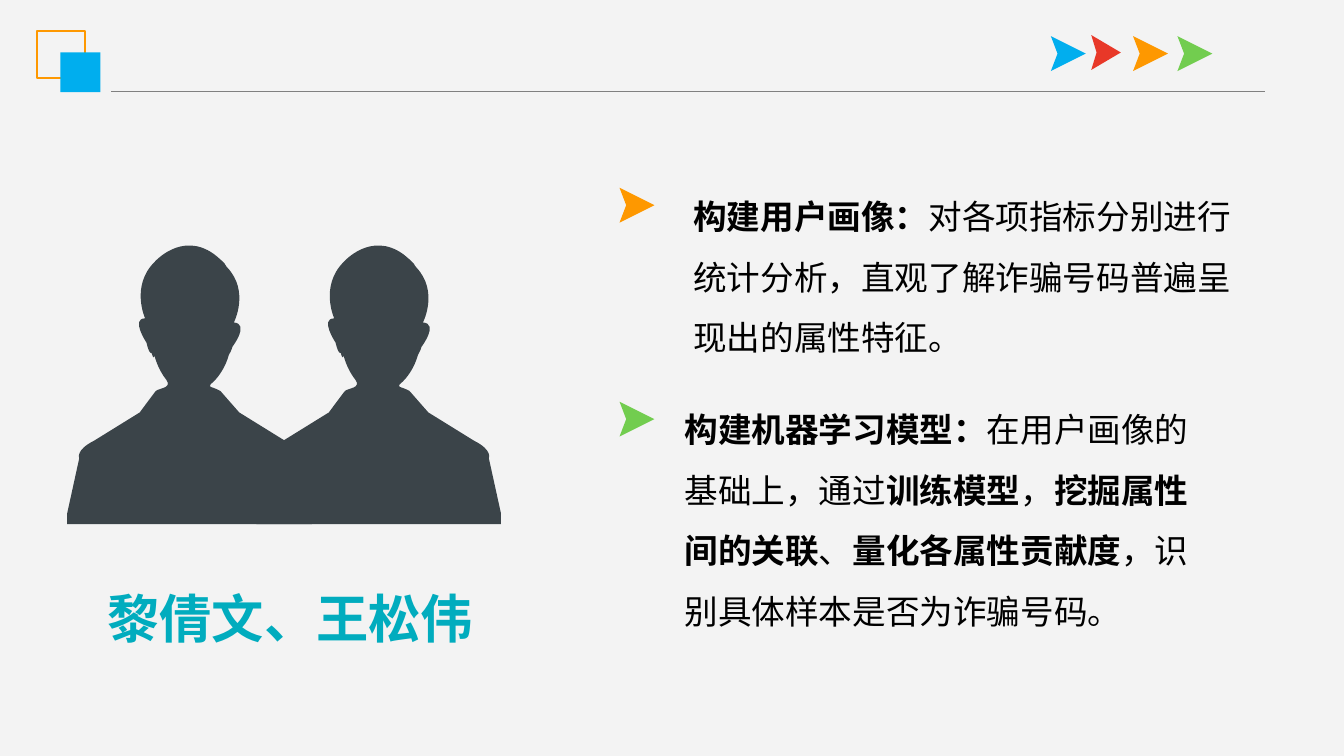
from dataclasses import dataclass

from lxml import etree
from pptx import Presentation
from pptx.dml.color import RGBColor
from pptx.enum.lang import MSO_LANGUAGE_ID
from pptx.enum.shapes import MSO_CONNECTOR, MSO_SHAPE
from pptx.enum.text import MSO_AUTO_SIZE, PP_ALIGN
from pptx.oxml.ns import qn
from pptx.shapes.autoshape import Shape
from pptx.slide import Slide
from pptx.util import Pt

RECT = MSO_SHAPE.RECTANGLE
STRAIGHT = MSO_CONNECTOR.STRAIGHT
GROW = MSO_AUTO_SIZE.SHAPE_TO_FIT_TEXT
LEFT, CENTER = PP_ALIGN.LEFT, PP_ALIGN.CENTER
CHINESE = MSO_LANGUAGE_ID.SIMPLIFIED_CHINESE

Point = tuple[int, int]


@dataclass(frozen=True)
class Theme:
    back: str = "F3F3F3"
    rule: str = "808080"
    blue: str = "00AEEE"
    sky: str = "01AEEE"
    red: str = "E83828"
    orange: str = "FE9800"
    green: str = "72CD4F"
    teal: str = "01ACBE"
    slate: str = "3B4449"
    black: str = "000000"
    body: float = 18
    name: float = 28
    latin: str = "Calibri"
    hei: str = "Noto Sans CJK SC"
    grid: float = 0.72


THEME = Theme()


@dataclass(frozen=True)
class Dart:
    x: float
    y: float
    color: str
    width: int = 26


@dataclass(frozen=True)
class Label:
    x: float
    y: float
    width: float
    height: float
    runs: tuple[tuple[str, bool], ...]
    size: float = THEME.body
    font: str = THEME.latin
    color: str = THEME.black
    align: PP_ALIGN = LEFT
    space: float = 1.5


DARTS = (
    Dart(584.6, 18.8, THEME.red, 22),
    Dart(630.8, 19.4, THEME.green),
    Dart(607, 19.4, THEME.orange),
    Dart(563, 19.4, THEME.sky),
    Dart(331.9, 100.6, THEME.orange),
    Dart(331.9, 215.2, THEME.green),
)

LABELS = (
    Label(364.3, 90.7, 317.5, 127.4, (
        ("构建用户画像：", True),
        ("对各项指标分别进行统计分析，直观了解诈骗号码普遍呈现出的属性特征。", False),
    )),
    Label(359.6, 204.8, 295.2, 159.8, (
        ("构建机器学习模型：", True),
        ("在用户画像的基础上，通过", False),
        ("训练模型", True),
        ("，", False),
        ("挖掘属性间的关联", True),
        ("、", False),
        ("量化各属性贡献度", True),
        ("，识别具体样本是否为诈骗号码。", False),
    )),
    Label(31, 310.3, 249, 41, (("黎倩文、王松伟", True),),
          THEME.name, THEME.hei, THEME.teal, CENTER, 1),
)

START = (173, 169)
BUST = (
    ((176, 163), (162, 156)),
    ((128, 135),),
    ((114, 119),),
    ((107, 115), (103, 117), (109, 112)),
    ((114, 107), (118, 100), (120, 93)),
    ((120, 92), (122, 90), (123, 86)),
    ((136, 69), (124, 68)),
    ((136, 45), (119, 27)),
    ((118, 26), (117, 24)),
    ((113, 20), (109, 17), (109, 17)),
    ((85, 0), (65, 23), (65, 23)),
    ((47, 41), (58, 65), (58, 65)),
    ((47, 65), (59, 83), (59, 83)),
    ((61, 92), (63, 91), (63, 91)),
    ((63, 92), (64, 94)),
    ((65, 93),),
    ((67, 100), (70, 106), (74, 111)),
    ((78, 117), (68, 117), (66, 119)),
    ((65, 120), (54, 135), (54, 135)),
    ((20, 156),),
    ((6, 163), (9, 169), (9, 169)),
    ((0, 210),),
    ((0, 218),),
    ((182, 218),),
    ((182, 210),),
    (START,),
)


def rgb(code: str) -> RGBColor:
    """Turn a hex code into a colour."""
    return RGBColor.from_string(code)


def paint(shape: Shape, color: str) -> None:
    """Fill a shape flatly, with no line or shadow."""
    shape.shadow.inherit = False
    shape.fill.solid()
    shape.fill.fore_color.rgb = rgb(color)
    shape.line.fill.background()


def trace(slide: Slide, x: float, y: float, points: list[Point], color: str) -> Shape:
    """Draw a closed outline given in grid units."""
    pen = slide.shapes.build_freeform(*points[0], scale=Pt(THEME.grid))
    pen.add_line_segments(points[1:], close=True)
    shape = pen.convert_to_shape(Pt(x), Pt(y))
    paint(shape, color)
    return shape


def draw_dart(slide: Slide, dart: Dart) -> None:
    """Draw a notched arrowhead that points right."""
    points = [(0, 26), (dart.width // 5, 13), (0, 0), (dart.width, 13)]
    trace(slide, dart.x, dart.y, points, dart.color)


def draw_bust(slide: Slide, x: float, y: float) -> None:
    """Draw a head and shoulders out of cubic curves."""
    points = [START]
    for part in BUST:
        lead = [points[-1]] * (3 - len(part))
        points += lead + list(part)
    shape = trace(slide, x, y, points, THEME.slate)
    route = next(shape.element.iter(qn("a:path")))
    lines = route.findall(qn("a:lnTo"))[:len(points) - 1]
    for first in range(0, len(lines), 3):
        curve = etree.Element(qn("a:cubicBezTo"))
        lines[first].addprevious(curve)
        for line in lines[first:first + 3]:
            curve.append(line[0])
            route.remove(line)


def draw_label(slide: Slide, label: Label) -> None:
    """Write a one-paragraph text box run by run."""
    box = slide.shapes.add_textbox(
        Pt(label.x), Pt(label.y), Pt(label.width), Pt(label.height))
    frame = box.text_frame
    frame.word_wrap = True
    frame.auto_size = GROW
    para = frame.paragraphs[0]
    para.alignment = label.align
    para.line_spacing = label.space
    for text, bold in label.runs:
        run = para.add_run()
        run.text = text
        font = run.font
        font.name, font.size, font.bold = label.font, Pt(label.size), bold
        font.color.rgb = rgb(label.color)
        font.language_id = CHINESE


def draw_head(slide: Slide) -> None:
    """Draw the top rule and the two corner squares."""
    rule = slide.shapes.add_connector(STRAIGHT, Pt(59.6), Pt(49.2), Pt(677.6), Pt(49.2))
    rule.line.color.rgb = rgb(THEME.rule)
    rule.line.width = Pt(0.75)
    etree.SubElement(rule.element.spPr, qn("a:effectLst"))
    frame = slide.shapes.add_shape(RECT, Pt(20), Pt(16.4), Pt(25.4), Pt(25.4))
    paint(frame, THEME.back)
    frame.fill.background()
    frame.line.color.rgb = rgb(THEME.orange)
    frame.line.width = Pt(1)
    block = slide.shapes.add_shape(RECT, Pt(32.4), Pt(28), Pt(21.4), Pt(21.4))
    paint(block, THEME.blue)


def main() -> None:
    """Build the slide and save it."""
    deck = Presentation()
    deck.slide_width, deck.slide_height = Pt(720), Pt(405)
    slide = deck.slides.add_slide(deck.slide_layouts[6])
    slide.background.fill.solid()
    slide.background.fill.fore_color.rgb = rgb(THEME.back)
    draw_head(slide)
    for dart in DARTS:
        draw_dart(slide, dart)
    for label in LABELS:
        draw_label(slide, label)
    for x in (36, 137.3):
        draw_bust(slide, x, 123.8)
    deck.save("out.pptx")


if __name__ == "__main__":
    main()
